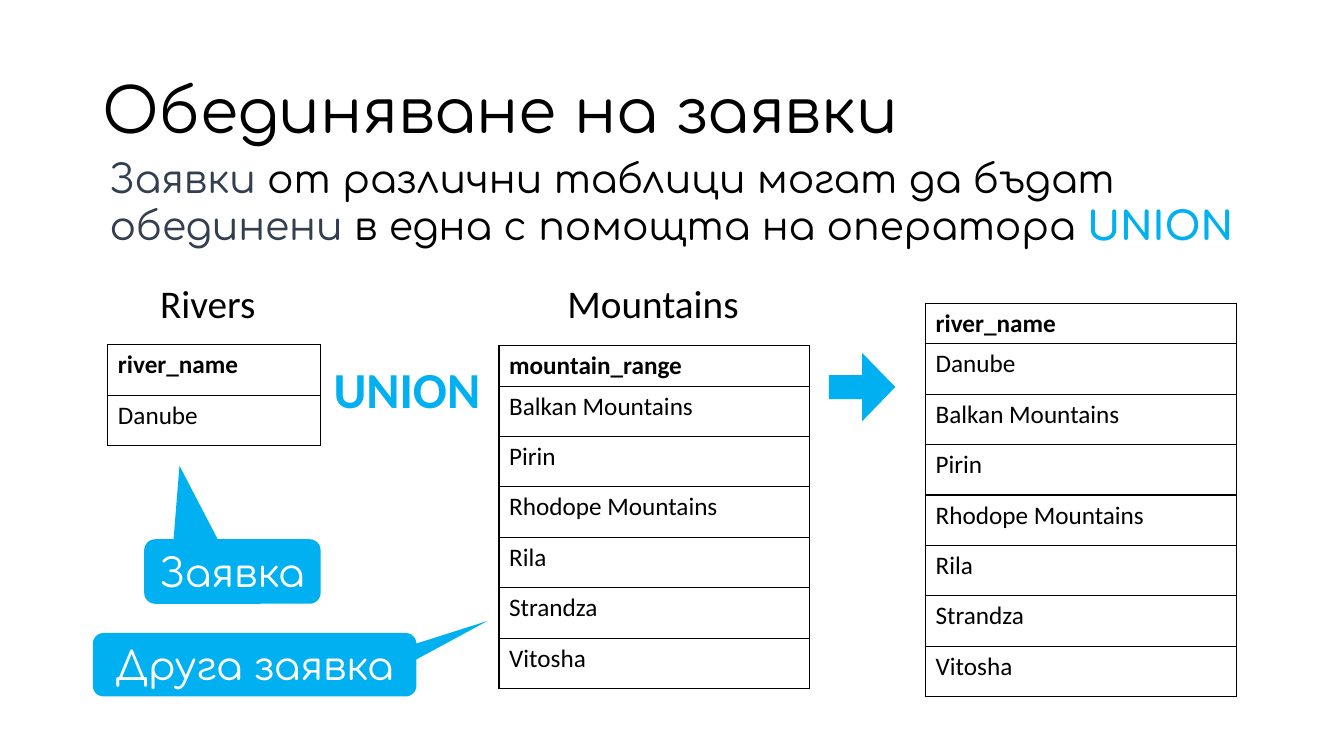
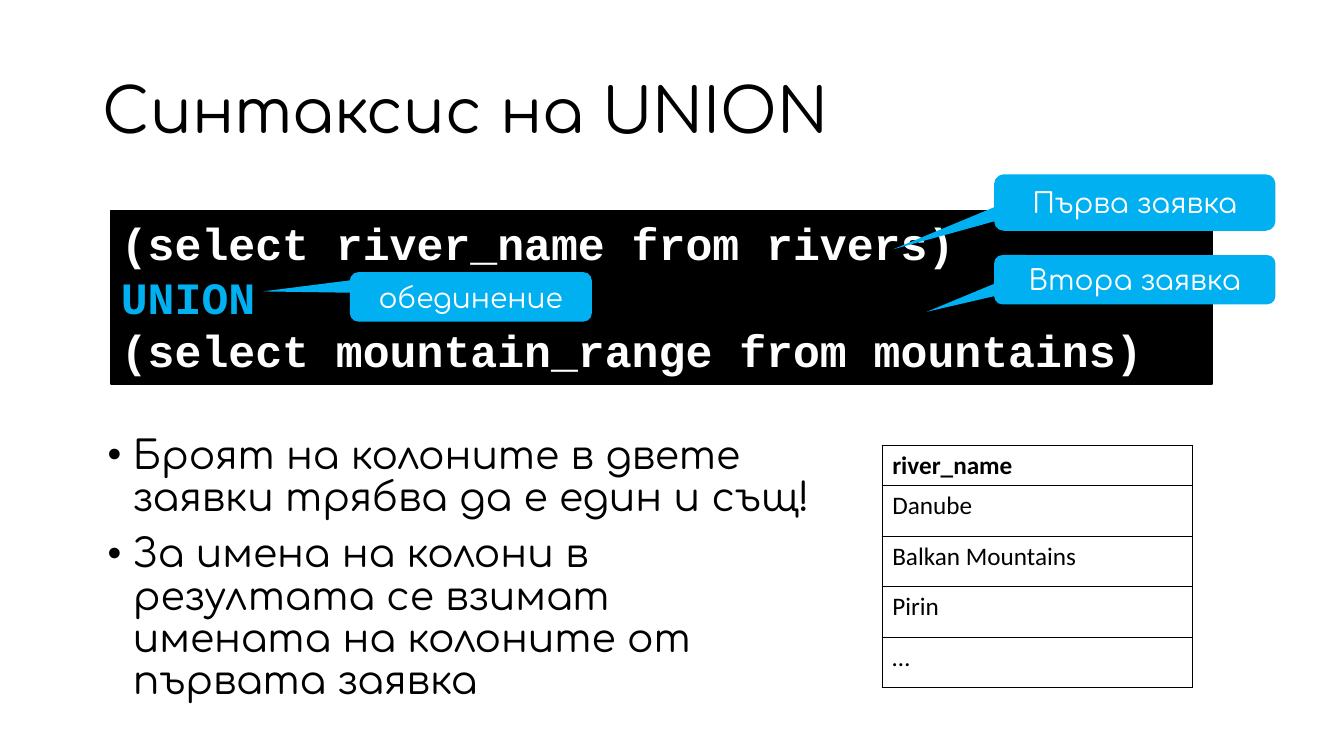
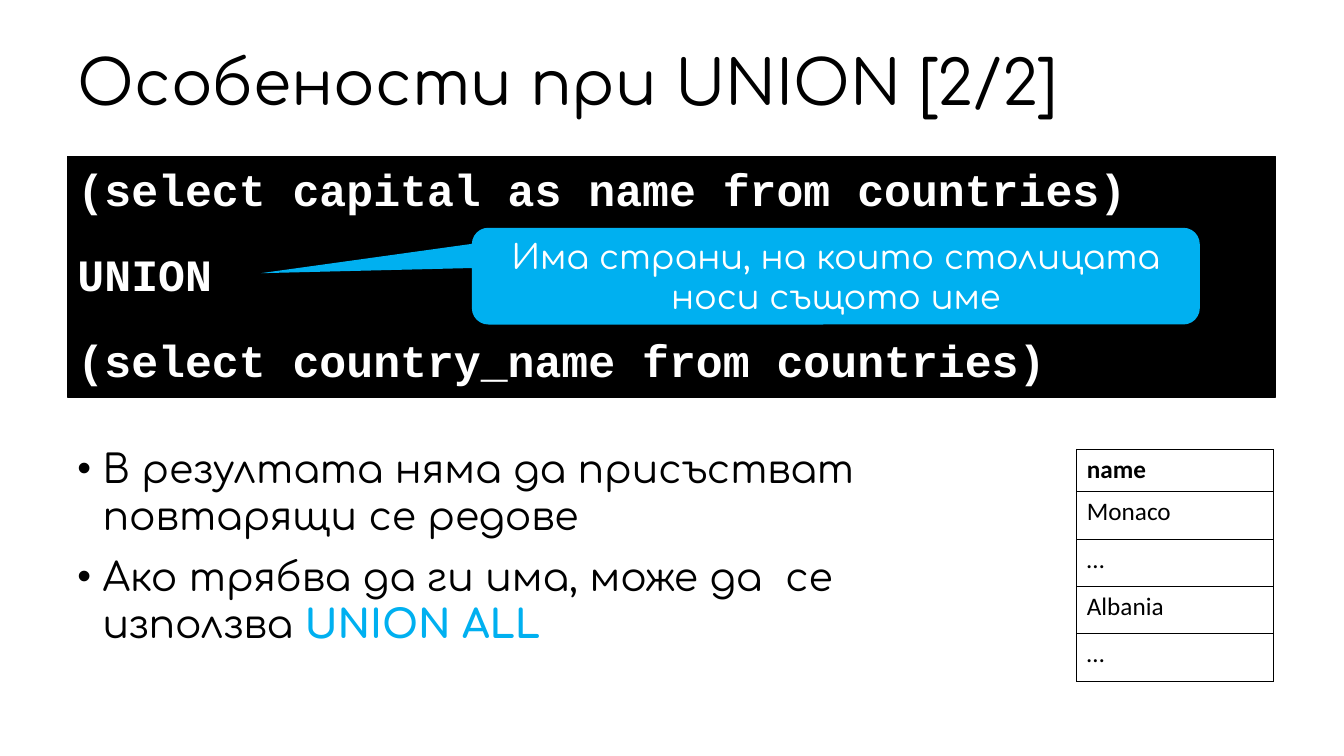
import pptx
import pptx.util
import pptx.dml.color
import pptx.enum.shapes
import pptx.enum.text
import pptx.oxml
import pptx.oxml.ns

HUES = {"ink": "000000", "paper": "FFFFFF", "sky": "00B0F0", "slate": "333F50"}
BODY, DATA, CODE, DOT = "Comfortaa", "Calibri", "Courier New", "Arial"
SHAPE = pptx.enum.shapes.MSO_SHAPE
ALIGN = pptx.enum.text.PP_ALIGN
ANCHOR = pptx.enum.text.MSO_ANCHOR
FIT = pptx.enum.text.MSO_AUTO_SIZE
Pt = pptx.util.Pt

RANGES = ["Balkan Mountains", "Pirin", "Rhodope Mountains", "Rila", "Strandza", "Vitosha"]
HIGH = (9.2, 4, 115, 14.5)  # usual title box


def cells(count):
    """Length of a number of grid cells, ten to the inch."""
    return pptx.util.Inches(count / 10)


def style(item, **values):
    for name, value in values.items():
        setattr(item, name, value)


def place(item, box):
    style(item, **dict(zip(("left", "top", "width", "height"), map(cells, box))))


def hue(name):
    return pptx.dml.color.RGBColor.from_string(HUES[name])


def paint(shape, fill, line=None):
    shape.shadow.inherit = False
    shape.fill.solid()
    shape.fill.fore_color.rgb = hue(fill)
    if line:
        shape.line.color.rgb = hue(line)
        shape.line.width = Pt(1)
    else:
        shape.line.fill.background()


def node(parent, tag, **attrs):
    child = pptx.oxml.parse_xml(f"<a:{tag} {pptx.oxml.ns.nsdecls('a')}/>")
    for name, value in attrs.items():
        child.set(name, str(value))
    parent.append(child)
    return child


def write(frame, paras, size, font=BODY, color="ink", bold=False, dots=False, gap=0, **form):
    """Fill a frame; a paragraph is a list of (text, colour, bold) runs or a string."""
    for i, runs in enumerate(paras):
        para = frame.paragraphs[0] if i == 0 else frame.add_paragraph()
        if dots:
            props = para._p.get_or_add_pPr()
            props.set("marL", str(cells(2.5)))
            props.set("indent", str(-cells(2.5)))
            node(props, "buFont", typeface=DOT)
            node(props, "buChar", char="•")
        style(para, **form)
        if i and gap:
            para.space_before = Pt(gap)
        for text, tint, heavy in [(runs, color, bold)] if isinstance(runs, str) else runs:
            run = para.add_run()
            run.text = text
            style(run.font, name=font, size=Pt(size), bold=heavy)
            run.font.color.rgb = hue(tint)


def start(deck, text, box):
    """New slide with its title."""
    slide = deck.slides.add_slide(deck.slide_layouts[5])
    title = slide.shapes.title
    place(title, box)
    style(title.text_frame, vertical_anchor=ANCHOR.MIDDLE, word_wrap=True, auto_size=FIT.NONE)
    write(title.text_frame, [text], 44, alignment=ALIGN.LEFT, line_spacing=0.9)
    return slide


def prose(slide, box, paras, **form):
    note = slide.shapes.add_textbox(*map(cells, box))
    note.text_frame.word_wrap = True
    write(note.text_frame, paras, 28, **form)


def label(slide, box, text, **form):
    note = slide.shapes.add_textbox(*map(cells, box))
    style(note.text_frame, word_wrap=False, auto_size=FIT.SHAPE_TO_FIT_TEXT)
    write(note.text_frame, [text], font=DATA, **form)


def listing(slide, box, lines, gap=0):
    """Dark panel of code."""
    panel = slide.shapes.add_shape(SHAPE.RECTANGLE, *map(cells, box))
    paint(panel, "ink", "ink")
    style(panel.text_frame, vertical_anchor=ANCHOR.TOP, word_wrap=True)
    write(panel.text_frame, lines, 32, CODE, "paper", True, gap=gap, alignment=ALIGN.LEFT)


def callout(slide, box, tip, text, size):
    """Speech bubble; tip is the tail's end as shares of the box, from its centre."""
    bubble = slide.shapes.add_shape(SHAPE.ROUNDED_RECTANGULAR_CALLOUT, *map(cells, box))
    for i, share in enumerate((*tip, 0.17)):
        bubble.adjustments[i] = share
    paint(bubble, "sky")
    style(bubble.text_frame, vertical_anchor=ANCHOR.MIDDLE, word_wrap=True)
    write(bubble.text_frame, [text], size, color="paper", alignment=ALIGN.CENTER)


def edge(cell):
    props = cell._tc.get_or_add_tcPr()
    for side in ("lnL", "lnR", "lnT", "lnB"):
        line = node(props, side, w=Pt(1))
        node(node(line, "solidFill"), "srgbClr", val=HUES["ink"])


def grid(slide, spot, wide, rows, head=4, step=5):
    """One-column table; its first row is the heading."""
    high = head + step * (len(rows) - 1)
    table = slide.shapes.add_table(len(rows), 1, *map(cells, (*spot, wide, high))).table
    style(table, first_row=False, horz_banding=False)
    for i, text in enumerate(rows):
        table.rows[i].height = cells(step if i else head)
        cell = table.cell(i, 0)
        edge(cell)
        cell.fill.solid()
        cell.fill.fore_color.rgb = hue("paper")
        write(cell.text_frame, [text], 18, DATA, bold=i == 0)


def merge(deck):
    """Two tables joined into a third."""
    slide = start(deck, "Обединяване на заявки", HIGH)
    prose(slide, (9.9, 14.8, 113.6, 11.6), [[
        ("Заявки ", "slate", False),
        ("от различни таблици могат да бъдат ", "ink", False),
        ("обединени ", "slate", False),
        ("в една с помощта на оператора ", "ink", False),
        ("UNION", "sky", True)]])
    # Sources
    label(slide, (14.9, 27.2, 11.6, 5.7), "Rivers", size=28)
    label(slide, (55.3, 27.2, 19.2, 5.7), "Mountains", size=28)
    label(slide, (32.1, 35, 16.7, 7.1), "UNION", size=36, color="sky", bold=True)
    grid(slide, (10.7, 34.2), 21.1, ["river_name", "Danube"], head=5)
    grid(slide, (49.5, 34.3), 30.8, ["mountain_range", *RANGES])
    # Result
    arrow = slide.shapes.add_shape(SHAPE.RIGHT_ARROW, *map(cells, (82.2, 35, 6.6, 6.8)))
    arrow.adjustments[0] = 0.35
    paint(arrow, "sky")
    grid(slide, (91.8, 30.1), 30.8, ["river_name", "Danube", *RANGES])
    # Remarks
    callout(slide, (14.3, 53.5, 17.5, 6.4), (-0.3, -1.64), "Заявка", 28)
    callout(slide, (9.2, 62.8, 32.1, 6.3), (0.72, -0.69), "Друга заявка", 28)


def explain(deck, title, code, notes, points, table):
    """Code with callouts above bullet points and a table of results."""
    slide = start(deck, *title)
    listing(slide, **code)
    for note in notes:
        callout(slide, *note)
    prose(slide, **points, dots=True, gap=10)
    grid(slide, **table)


def main():
    deck = pptx.Presentation()
    style(deck, slide_width=pptx.util.Inches(13.33), slide_height=pptx.util.Inches(7.5))
    merge(deck)
    explain(
        deck, ("Синтаксис на UNION", HIGH),
        code={"box": (11, 20.9, 109.2, 17.2), "lines": [
            "(select river_name from rivers)",
            [("UNION", "sky", True)],
            "(select mountain_range from mountains)"]},
        notes=[
            ((98.6, 25.3, 27.9, 4.9), (-0.74, 0.65), "Втора заявка", 20),
            ((34.7, 27, 24, 4.9), (-0.86, -0.11), "обединение", 20),
            ((98.6, 17.3, 27.9, 5.6), (-0.86, 0.83), "Първа заявка", 20)],
        points={"box": (9.7, 42.7, 72.5, 28.7), "line_spacing": 0.9, "paras": [
            "Броят на колоните в двете заявки трябва да е един и същ!",
            "За имена на колони в резултата се взимат имената на колоните от първата заявка"]},
        table={"spot": (87.5, 44.2), "wide": 30.8,
               "rows": ["river_name", "Danube", *RANGES[:2], "…"]})
    explain(
        deck, ("Особености при UNION [2/2]", (6.7, 4.1, 118.5, 8.8)),
        code={"box": (6.7, 15.5, 119.8, 23.9), "gap": 23, "lines": [
            "(select capital as name from countries)",
            "UNION",
            "(select country_name from countries)"]},
        notes=[((46.8, 22.6, 72.2, 9.6), (-0.79, -0.03),
                "Има страни, на които столицата носи същото име", 24)],
        points={"box": (6.7, 43.6, 96.3, 26.4), "paras": [
            "В резултата няма да присъстват повтарящи се редове",
            [("Ако трябва да ги има, може да  се използва ", "ink", False),
             ("UNION ALL", "sky", True)]]},
        table={"spot": (106.8, 44.6), "wide": 19.5, "head": 4.2, "step": 4.7,
               "rows": ["name", "Monaco", "…", "Albania", "…"]})
    deck.save("out.pptx")


if __name__ == "__main__":
    main()
